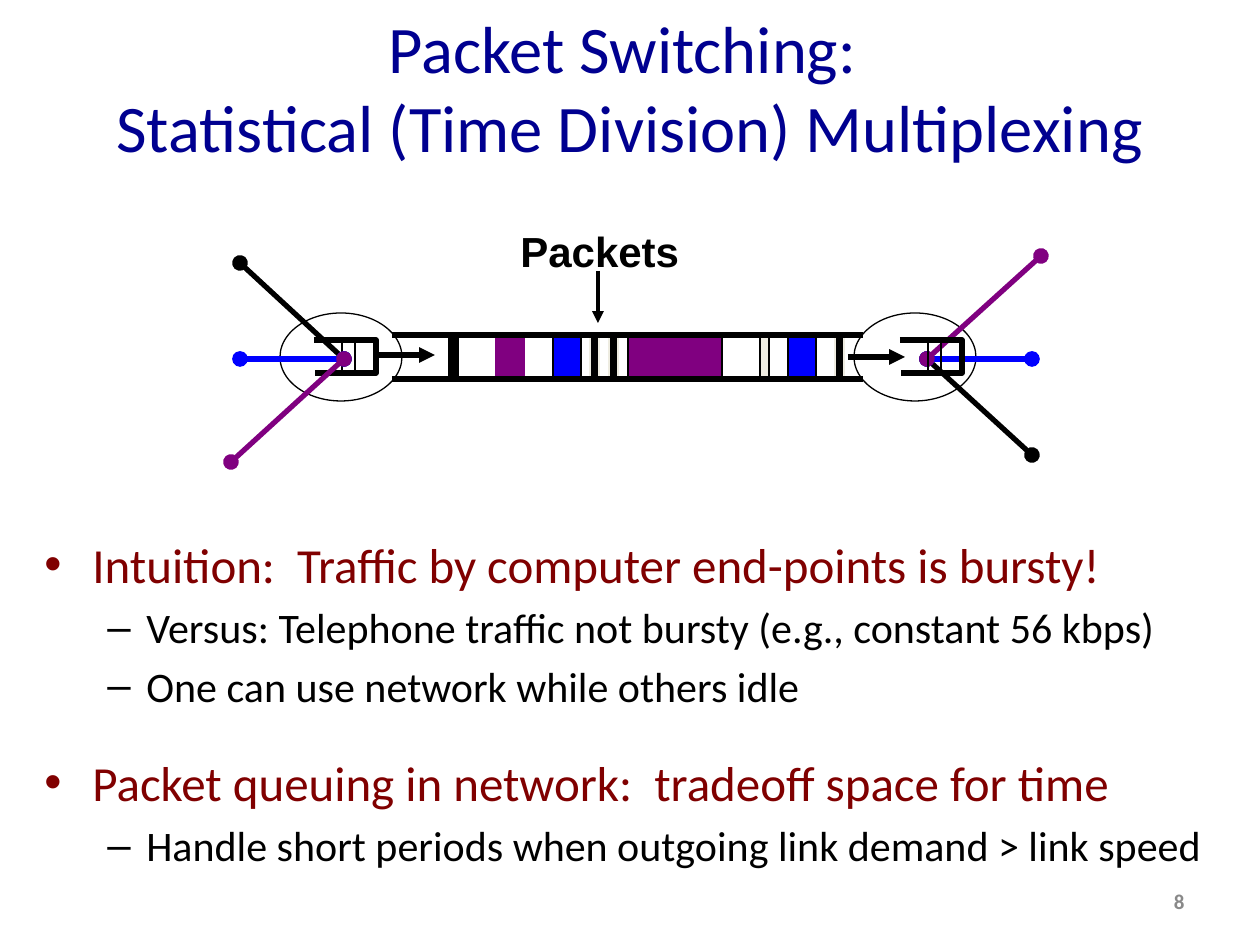
from lxml import etree
from pptx import Presentation, util as u
from pptx.dml.color import RGBColor
from pptx.enum import shapes as sh, text as tx
from pptx.oxml.ns import qn

PX = 914400 // 126
HUES = {"navy": "000090", "black": "000000", "blue": "0000FF",
        "purple": "800080", "cream": "EEECE1", "maroon": "800000",
        "gray": "898989"}

TITLE = "Packet Switching: \vStatistical (Time Division) Multiplexing"
BODY = [
    (0, "Intuition:  Traffic by computer end-points is bursty!", 12),
    (1, "Versus: Telephone traffic not bursty (e.g., constant 56 kbps)", 12),
    (1, "One can use network while others idle", 36),
    (0, "Packet queuing in network:  tradeoff space for time", 12),
    (1, "Handle short periods when outgoing link demand > link speed", 12),
]
LEVELS = [("•", 28, "maroon", 48, 48), ("–", 24, "black", 102, 39)]

NODES = [280, 854]
PACKETS = [
    (835, 9, "black", "cream"), (449, 9, "black", "black"),
    (496, 28, "purple", "purple"), (553, 28, "blue", "black"),
    (609, 9, "black", "cream"), (628, 94, "purple", "black"),
    (760, 9, "cream", "black"), (788, 28, "blue", "black"),
    (590, 9, "black", "cream"),
]
LINK = (392, 863, 335, 379)
ARROWS = [((379, 355), (435, 355), 3), ((848, 357), (905, 357), 3),
          ((598, 271), (598, 323), 2.25)]
SPOKES = [
    ((344, 359), [(240, 263, "black"), (240, 359, "blue"), (231, 462, "purple")]),
    ((927, 359), [(1032, 455, "black"), (1032, 359, "blue"), (1041, 256, "purple")]),
]
QUEUES = [(314, (355, 342)), (900, (941, 928))]


def px(*nums):
    return [u.Emu(n * PX) for n in nums]


def hue(name):
    return RGBColor.from_string(HUES[name])


def style(runs, size, color, face="Calibri", bold=False):
    for run in runs:
        run.font.size = u.Pt(size)
        run.font.name = face
        run.font.bold = bold
        run.font.color.rgb = hue(color)


def finish(shape, line, width, fill=None):
    shape.shadow.inherit = False
    shape.line.color.rgb = hue(line)
    shape.line.width = u.Pt(width)
    if fill:
        shape.fill.solid()
        shape.fill.fore_color.rgb = hue(fill)
    else:
        shape.fill.background()


def wire(art, start, end, color="black", width=3.0, head=None, tail=None):
    line = art.add_connector(sh.MSO_CONNECTOR.STRAIGHT, *px(*start, *end))
    line.line.color.rgb = hue(color)
    line.line.width = u.Pt(width)
    for tag, kind in (("a:headEnd", head), ("a:tailEnd", tail)):
        if kind:
            etree.SubElement(line.line._get_or_add_ln(), qn(tag), type=kind)
    etree.SubElement(line._element.spPr, qn("a:effectLst"))


def queue(art, left, bars):
    top, low = 340, 373
    pen = art.build_freeform(*px(left, top))
    pen.add_line_segments([px(left + 62, top), px(left + 62, low),
                           px(left + 1, low)], close=False)
    finish(pen.convert_to_shape(), "black", 3)
    for x in bars:
        wire(art, (x, top + 1), (x, low + 1), width=0.75)


def spokes(art, hub, ends):
    for x, y, color in ends:
        wire(art, (x, y), hub, color, head="oval", tail="oval")


def draw(art):
    for x in NODES:
        oval = art.add_shape(sh.MSO_SHAPE.OVAL, *px(x, 313, 122, 88))
        finish(oval, "black", 0.75)
    for start, end, width in ARROWS:
        wire(art, start, end, width=width, tail="triangle")
    left, right, top, low = LINK
    for x, wide, fill, line in PACKETS:
        box = art.add_shape(sh.MSO_SHAPE.RECTANGLE, *px(x, top, wide, low - top))
        finish(box, line, 0.75, fill)
    queue(art, *QUEUES[0])
    label = art.add_textbox(*px(508, 219, 212, 63)).text_frame
    label.text = "Packets"
    style(label.paragraphs[0].runs, 24, "black", "Arial", True)
    for y in (low, top):
        wire(art, (left, y), (right, y))
    for hub, ends in SPOKES:
        spokes(art, hub, ends)
    queue(art, *QUEUES[1])


def write(frame):
    frame.word_wrap = True
    for i, (level, words, after) in enumerate(BODY):
        para = frame.paragraphs[0] if i == 0 else frame.add_paragraph()
        mark, size, color, margin, hang = LEVELS[level]
        para.text = words
        para.level = level
        para.line_spacing = u.Pt(21.6)
        para.space_after = u.Pt(after)
        props = para._p.get_or_add_pPr()
        props.set("marL", str(margin * PX))
        props.set("indent", str(-hang * PX))
        etree.SubElement(props, qn("a:buFont"), typeface="Arial")
        etree.SubElement(props, qn("a:buChar"), char=mark)
        style(para.runs, size, color)


def main():
    deck = Presentation()
    deck.slide_width, deck.slide_height = u.Inches(10), u.Inches(7.5)
    slide = deck.slides.add_slide(deck.slide_layouts[5])

    title = slide.shapes.title
    title.left, title.top, title.width, title.height = px(63, 8, 1134, 157)
    title.text_frame.text = TITLE
    title.text_frame.vertical_anchor = tx.MSO_ANCHOR.MIDDLE
    head = title.text_frame.paragraphs[0]
    head.alignment = tx.PP_ALIGN.CENTER
    style(head.runs, 38, "navy")

    page = slide.shapes.add_textbox(*px(903, 876, 294, 50)).text_frame
    page.text = "8"
    page.vertical_anchor = tx.MSO_ANCHOR.MIDDLE
    page.paragraphs[0].alignment = tx.PP_ALIGN.RIGHT
    style(page.paragraphs[0].runs, 12, "gray", bold=True)

    draw(slide.shapes.add_group_shape().shapes)
    write(slide.shapes.add_textbox(*px(32, 549, 1228, 469)).text_frame)
    deck.save("out.pptx")


if __name__ == "__main__":
    main()
